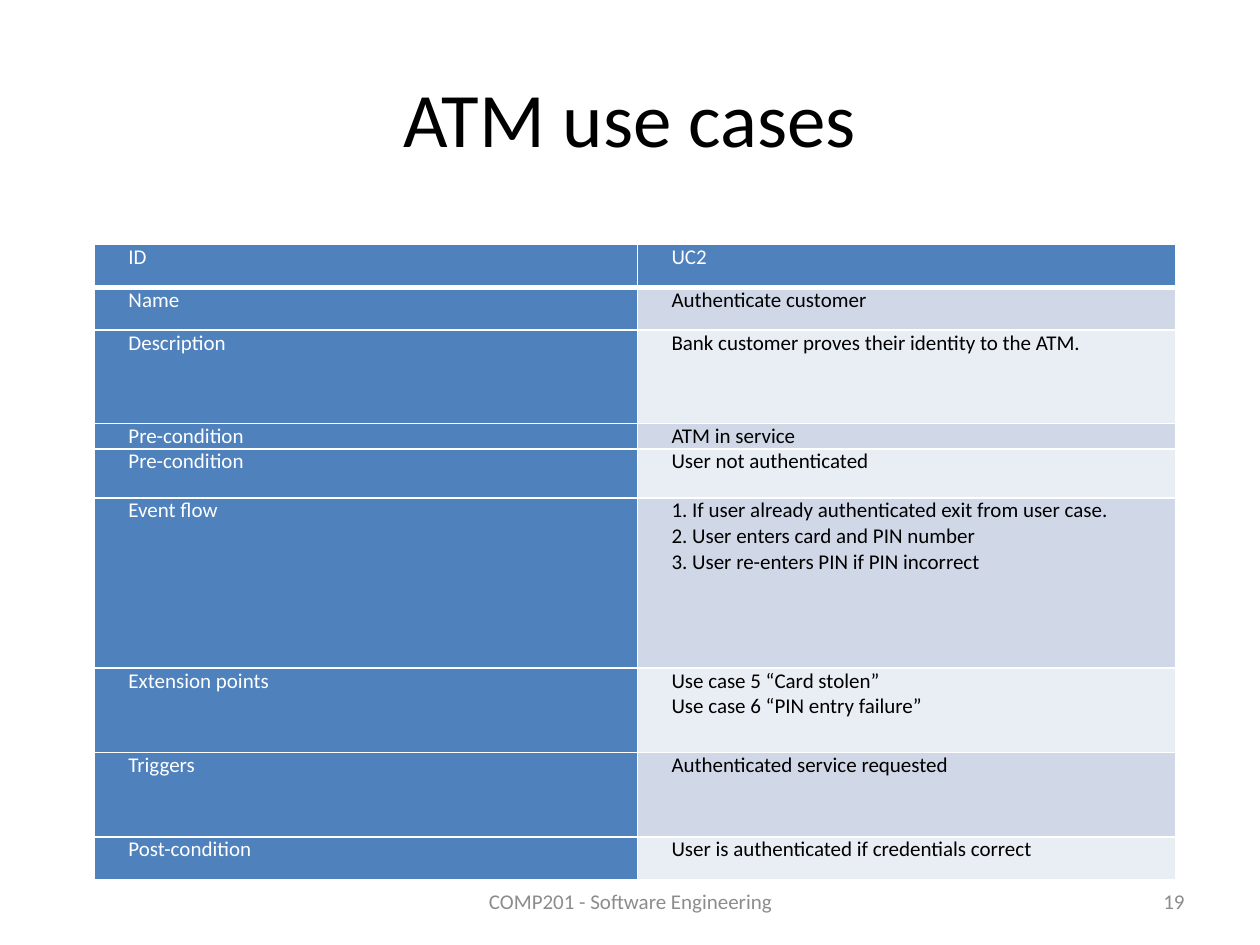
from lxml.etree import SubElement
from pptx import Presentation
from pptx.dml.color import RGBColor
from pptx.enum.text import MSO_ANCHOR as Anchor, PP_ALIGN as Align
from pptx.oxml.ns import qn
from pptx.util import Inches, Pt

FONT = "Calibri"
WHITE, BLACK, GREY = "FFFFFF", "000000", "8C8C8C"
BLUE, BANDS = "4F81BD", ("E9EDF4", "D0D8E8")

TEXTS = [
    ("ATM use cases", (0.5, 0.3, 9, 1.25), 44, BLACK, Align.CENTER),
    ("COMP201 - Software Engineering", (3.42, 6.95, 3.17, 0.4), 12, GREY, Align.CENTER),
    ("19", (7.17, 6.95, 2.33, 0.4), 12, GREY, Align.RIGHT),
]
TABLE_LEFT, TABLE_TOP = 0.75, 1.94
COLUMNS = (4.31, 4.27)
USE_CASE = [
    (0.34, "ID", ["UC2"]),
    (0.34, "Name", ["Authenticate customer"]),
    (0.74, "Description", ["Bank customer proves their identity to the ATM."]),
    (0.2, "Pre-condition", ["ATM in service"]),
    (0.39, "Pre-condition", ["User not authenticated"]),
    (1.35, "Event flow", [
        "1. If user already authenticated exit from user case.",
        "2. User enters card and PIN number",
        "3. User re-enters PIN if PIN incorrect",
    ]),
    (0.67, "Extension points", ["Use case 5 “Card stolen”", "Use case 6 “PIN entry failure”"]),
    (0.67, "Triggers", ["Authenticated service requested"]),
    (0.34, "Post-condition", ["User is authenticated if credentials correct"]),
]


def rgb(value):
    """Return the colour for a hex string."""
    return RGBColor.from_string(value)


def add_span(para, text, size, color):
    """Add one run of styled text to a paragraph."""
    span = para.add_run()
    span.text = text
    span.font.name, span.font.size = FONT, Pt(size)
    span.font.color.rgb = rgb(color)


def add_text(page, text, place, size, color, align):
    """Add a vertically centred line of text."""
    frame = page.shapes.add_textbox(*map(Inches, place)).text_frame
    frame.word_wrap = True
    frame.vertical_anchor = Anchor.MIDDLE
    para = frame.paragraphs[0]
    para.alignment = align
    add_span(para, text, size, color)


def add_border(cell, side, width):
    """Draw a white line along one side of a cell."""
    line = SubElement(cell._tc.get_or_add_tcPr(), qn(f"a:ln{side}"), w=str(Pt(width)))
    SubElement(SubElement(line, qn("a:solidFill")), qn("a:srgbClr"), val=WHITE)


def fill_cell(cell, lines, fill, color, is_header):
    """Write the lines of a cell and style it."""
    cell.margin_left = cell.margin_right = Inches(0.07)
    cell.margin_top = cell.margin_bottom = 0
    for side in "LRTB":
        add_border(cell, side, 3 if is_header and side == "B" else 1)
    cell.fill.solid()
    cell.fill.fore_color.rgb = rgb(fill)
    frame = cell.text_frame
    for index, line in enumerate(lines):
        para = frame.add_paragraph() if index else frame.paragraphs[0]
        properties = para._p.get_or_add_pPr()
        properties.set("marL", str(Inches(0.2)))
        properties.set("indent", "0")
        add_span(para, line, 12, color)


def add_use_case(page):
    """Add the table that describes the use case."""
    height = sum(row[0] for row in USE_CASE)
    place = map(Inches, (TABLE_LEFT, TABLE_TOP, sum(COLUMNS), height))
    table = page.shapes.add_table(len(USE_CASE), len(COLUMNS), *place).table
    for column, width in zip(table.columns, COLUMNS):
        column.width = Inches(width)
    for index, (row_height, label, lines) in enumerate(USE_CASE):
        is_header = index == 0
        table.rows[index].height = Inches(row_height)
        fill, color = (BLUE, WHITE) if is_header else (BANDS[index % 2], BLACK)
        fill_cell(table.cell(index, 0), [label], BLUE, WHITE, is_header)
        fill_cell(table.cell(index, 1), lines, fill, color, is_header)


def main():
    """Build the slide and save it."""
    deck = Presentation()
    deck.slide_width, deck.slide_height = Inches(10), Inches(7.5)
    page = deck.slides.add_slide(deck.slide_layouts[6])
    add_use_case(page)
    for item in TEXTS:
        add_text(page, *item)
    deck.save("out.pptx")


if __name__ == "__main__":
    main()
